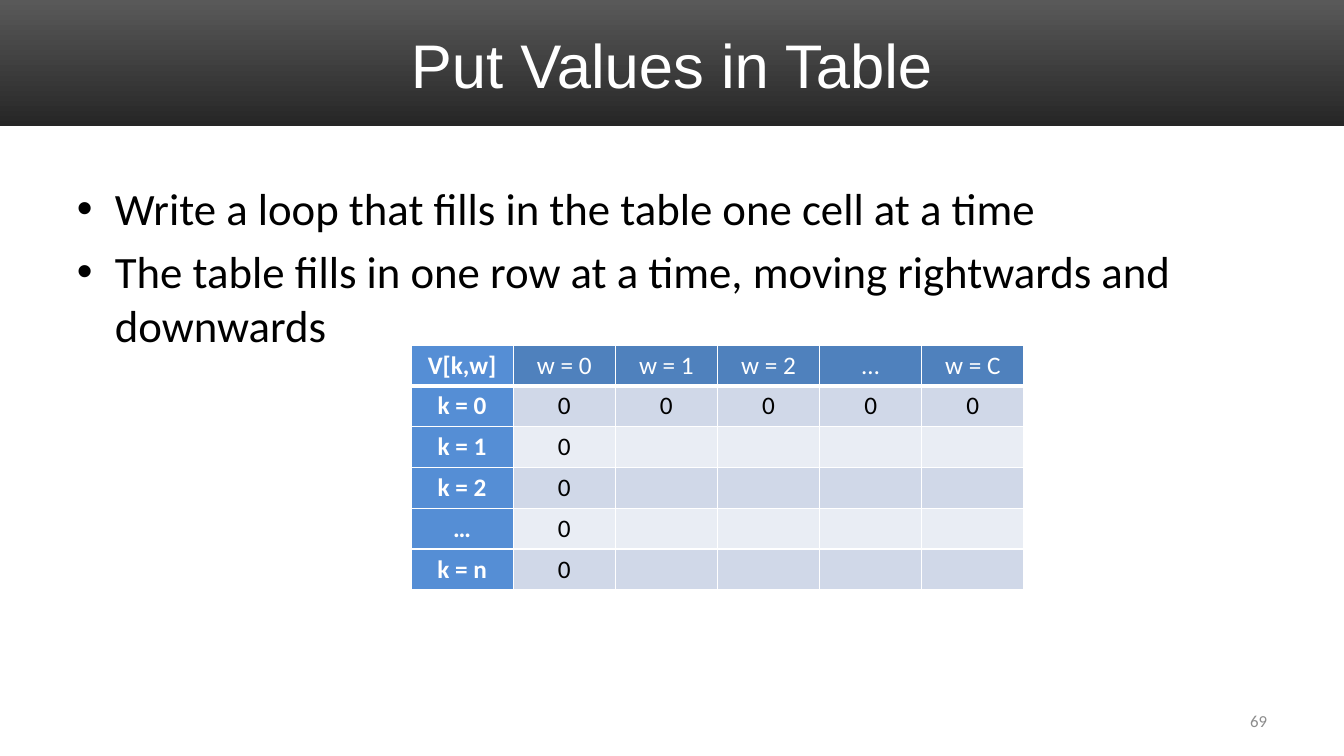
from lxml.etree import SubElement
from pptx import Presentation
from pptx.dml.color import RGBColor
from pptx.enum.shapes import MSO_SHAPE
from pptx.enum.text import MSO_ANCHOR, PP_ALIGN
from pptx.oxml.ns import qn
from pptx.util import Emu, Pt

EMU_PER_PX = 914400 / 100.8
WHITE, BLACK, GREY = "FFFFFF", "000000", "8C8C8C"
HEADER_FILL, LABEL_FILL = "4F81BD", "558ED5"
BAND_FILLS = ["D0D8E8", "E9EDF4"]

BULLETS = [
    "Write a loop that fills in the table one cell at a time",
    "The table fills in one row at a time, moving rightwards and downwards",
]
VALUES = [
    ["V[k,w]", "w = 0", "w = 1", "w = 2", "…", "w = C"],
    ["k = 0", "0", "0", "0", "0", "0"],
    ["k = 1", "0", "", "", "", ""],
    ["k = 2", "0", "", "", "", ""],
    ["…", "0", "", "", "", ""],
    ["k = n", "0", "", "", "", ""],
]


def px(n):
    return Emu(round(n * EMU_PER_PX))


def rgb(color):
    return RGBColor.from_string(color)


def add_run(p, text, size, color, font="Calibri", bold=False):
    r = p.add_run()
    r.text = text
    r.font.name = font
    r.font.size = Pt(size)
    r.font.bold = bold
    r.font.color.rgb = rgb(color)


def add_text_frame(s, x, y, w, h, anchor):
    tf = s.shapes.add_textbox(px(x), px(y), px(w), px(h)).text_frame
    tf.word_wrap = True
    tf.vertical_anchor = anchor
    return tf


def add_title_band(s, x, y, w, h):
    sp = s.shapes.add_shape(MSO_SHAPE.RECTANGLE, px(x), px(y), px(w), px(h))
    sp.shadow.inherit = False
    sp.line.fill.background()
    sp.fill.gradient()
    sp.fill.gradient_angle = 270
    for stop, color in zip(sp.fill.gradient_stops, ["595959", "262626"]):
        stop.color.rgb = rgb(color)
    tf = add_text_frame(s, x + 67, y + 17, w - 134, h - 33, MSO_ANCHOR.MIDDLE)
    p = tf.paragraphs[0]
    p.alignment = PP_ALIGN.CENTER
    add_run(p, "Put Values in Table", 44, WHITE, "Arial")


def add_bullets(s, x, y, w, h):
    tf = add_text_frame(s, x, y, w, h, MSO_ANCHOR.TOP)
    for i, text in enumerate(BULLETS):
        p = tf.add_paragraph() if i else tf.paragraphs[0]
        pPr = p._p.get_or_add_pPr()
        pPr.set("marL", str(px(38)))
        pPr.set("indent", str(-px(38)))
        SubElement(pPr, qn("a:buFont"), typeface="Arial")
        SubElement(pPr, qn("a:buChar"), char="•")
        if i:
            p.space_before = Pt(6.4)
        add_run(p, text, 32, BLACK)


def set_borders(cell, bottom):
    tcPr = cell._tc.get_or_add_tcPr()
    for side, width in [("L", 1), ("R", 1), ("T", 1), ("B", bottom)]:
        ln = SubElement(tcPr, qn(f"a:ln{side}"), w=str(Pt(width)))
        fill = SubElement(ln, qn("a:solidFill"))
        SubElement(fill, qn("a:srgbClr"), val=WHITE)


def add_value_table(s, x, y, w, h):
    rows, cols = len(VALUES), len(VALUES[0])
    table = s.shapes.add_table(rows, cols, px(x), px(y), px(w), px(h)).table
    for col in table.columns:
        col.width = px(w / cols)
    for row in table.rows:
        row.height = px(h / rows)
    for i, row in enumerate(VALUES):
        for j, text in enumerate(row):
            cell = table.cell(i, j)
            set_borders(cell, 1 if i else 3)
            cell.fill.solid()
            if j == 0:
                fill = LABEL_FILL
            elif i == 0:
                fill = HEADER_FILL
            else:
                fill = BAND_FILLS[(i - 1) % 2]
            cell.fill.fore_color.rgb = rgb(fill)
            p = cell.text_frame.paragraphs[0]
            p.alignment = PP_ALIGN.CENTER
            if text:
                color = BLACK if i and j else WHITE
                add_run(p, text, 18, color, bold=j == 0)


def add_slide_number(s, x, y, w, h):
    p = add_text_frame(s, x, y, w, h, MSO_ANCHOR.MIDDLE).paragraphs[0]
    p.alignment = PP_ALIGN.RIGHT
    add_run(p, "69", 12, GREY)


def main():
    prs = Presentation()
    prs.slide_width, prs.slide_height = px(1344), px(756)
    s = prs.slides.add_slide(prs.slide_layouts[6])
    add_title_band(s, 0, 0, 1344, 126)
    add_slide_number(s, 964, 701, 313, 40)
    add_bullets(s, 67, 176, 1210, 499)
    add_value_table(s, 411, 345, 613, 245)
    prs.save("out.pptx")


if __name__ == "__main__":
    main()
